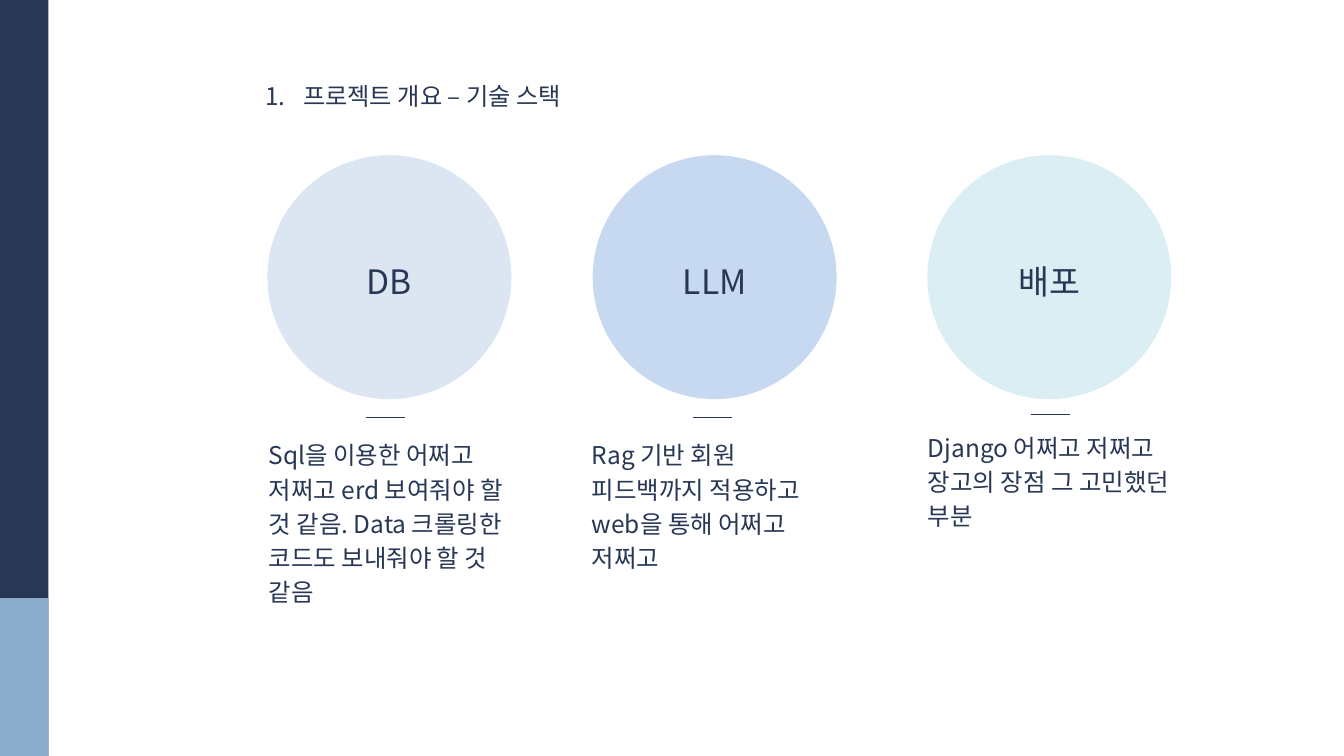
"""Build the project overview slide presenting the technology stack."""
import pptx
import pptx.util
import pptx.dml.color
import pptx.enum.shapes
import pptx.enum.text
import pptx.oxml.ns
from lxml import etree

Inches, Pt = pptx.util.Inches, pptx.util.Pt
SHAPE = pptx.enum.shapes.MSO_SHAPE
ALIGN = pptx.enum.text.PP_ALIGN
qn = pptx.oxml.ns.qn

FONT = "Noto Sans CJK KR"
COLORS = {"navy": "273755", "steel": "8AABCA", "db": "DCE6F2", "llm": "C6D9F1", "deploy": "DBEEF4"}
TITLE = "프로젝트 개요 – 기술 스택"
SIDEBAR = [("navy", 0, 11.25), ("steel", 8.9, 2.35)]
STACK = [
    {"label": "DB", "color": "db", "left": 3.98, "rule": (5.44, 6.21), "body": (4, 6.48, 2.57),
     "text": ["Sql을 이용한 어쩌고 저쩌고 erd 보여줘야 할 것 같음. Data 크롤링한 코드도 보내줘야 할 것 같음"]},
    {"label": "LLM", "color": "llm", "left": 8.82, "rule": (10.32, 6.21), "body": (8.81, 6.48, 2.05),
     "text": ["Rag 기반 회원 피드백까지 적용하고 web을 통해 어쩌고 저쩌고"]},
    {"label": "배포", "color": "deploy", "left": 13.8, "rule": (15.34, 6.17), "body": (13.81, 6.37, 1.53),
     "text": ["Django 어쩌고 저쩌고", "장고의 장점 그 고민했던 부분"]},
]
CIRCLE_TOP, CIRCLE_SIZE = 2.31, 3.63
LABEL_WIDTH, RULE_WIDTH = 1.6, 0.58


def rgb(name):
    return pptx.dml.color.RGBColor.from_string(COLORS[name])


def add_fill(s, kind, box, color):
    sp = s.shapes.add_shape(kind, *map(Inches, box))
    sp.shadow.inherit = False
    sp.fill.solid()
    sp.fill.fore_color.rgb = rgb(color)
    sp.line.fill.background()


def add_text(s, box, lines, size, spacing, align=ALIGN.LEFT, numbered=False):
    tf = s.shapes.add_textbox(*map(Inches, box)).text_frame
    tf.word_wrap = True
    tf.auto_size = pptx.enum.text.MSO_AUTO_SIZE.SHAPE_TO_FIT_TEXT
    tf.margin_left = tf.margin_top = tf.margin_right = tf.margin_bottom = 0
    tf.text = "\n".join(lines)
    for p in tf.paragraphs:
        p.alignment = align
        p.line_spacing = Pt(spacing)
        if numbered:
            pPr = p._p.get_or_add_pPr()
            pPr.set("marL", str(Inches(0.56)))
            pPr.set("indent", str(Inches(-0.56)))
            etree.SubElement(pPr, qn("a:buFont"), typeface=FONT)
            etree.SubElement(pPr, qn("a:buAutoNum"), type="arabicPeriod")
        for r in p.runs:
            r.font.size = Pt(size)
            r.font.name = FONT
            r.font.color.rgb = rgb("navy")
            etree.SubElement(r._r.get_or_add_rPr(), qn("a:ea"), typeface=FONT)


def add_rule(s, left, top):
    line = s.shapes.add_connector(
        pptx.enum.shapes.MSO_CONNECTOR.STRAIGHT,
        Inches(left), Inches(top), Inches(left + RULE_WIDTH), Inches(top))
    line.line.color.rgb = rgb("navy")
    line.line.width = Pt(1.5)
    etree.SubElement(line._element.spPr, qn("a:effectLst"))


def main():
    prs = pptx.Presentation()
    prs.slide_width, prs.slide_height = Inches(20), Inches(11.25)
    s = prs.slides.add_slide(prs.slide_layouts[6])
    for color, top, height in SIDEBAR:
        add_fill(s, SHAPE.RECTANGLE, (0, top, 0.72, height), color)
    add_text(s, (3.95, 1.14, 4.8, 0.99), [TITLE], 26, 36.4, numbered=True)
    for item in STACK:
        add_fill(s, SHAPE.OVAL, (item["left"], CIRCLE_TOP, CIRCLE_SIZE, CIRCLE_SIZE), item["color"])
        label_left = item["left"] + (CIRCLE_SIZE - LABEL_WIDTH) / 2
        add_text(s, (label_left, 3.78, LABEL_WIDTH, 0.68), [item["label"]], 36, 50.4, ALIGN.CENTER)
        add_rule(s, *item["rule"])
        left, top, height = item["body"]
        add_text(s, (left, top, 3.6, height), item["text"], 26.2, 36.7)
    prs.save("out.pptx")


if __name__ == "__main__":
    main()
